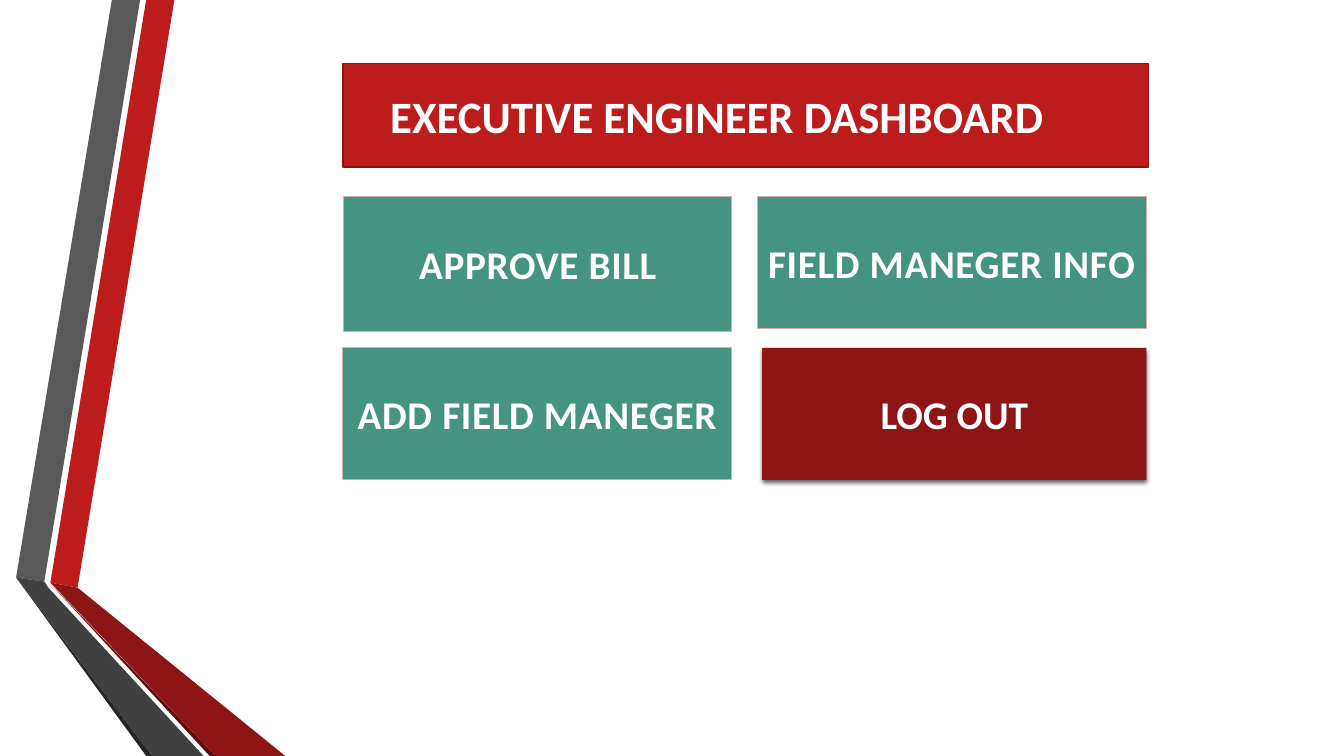
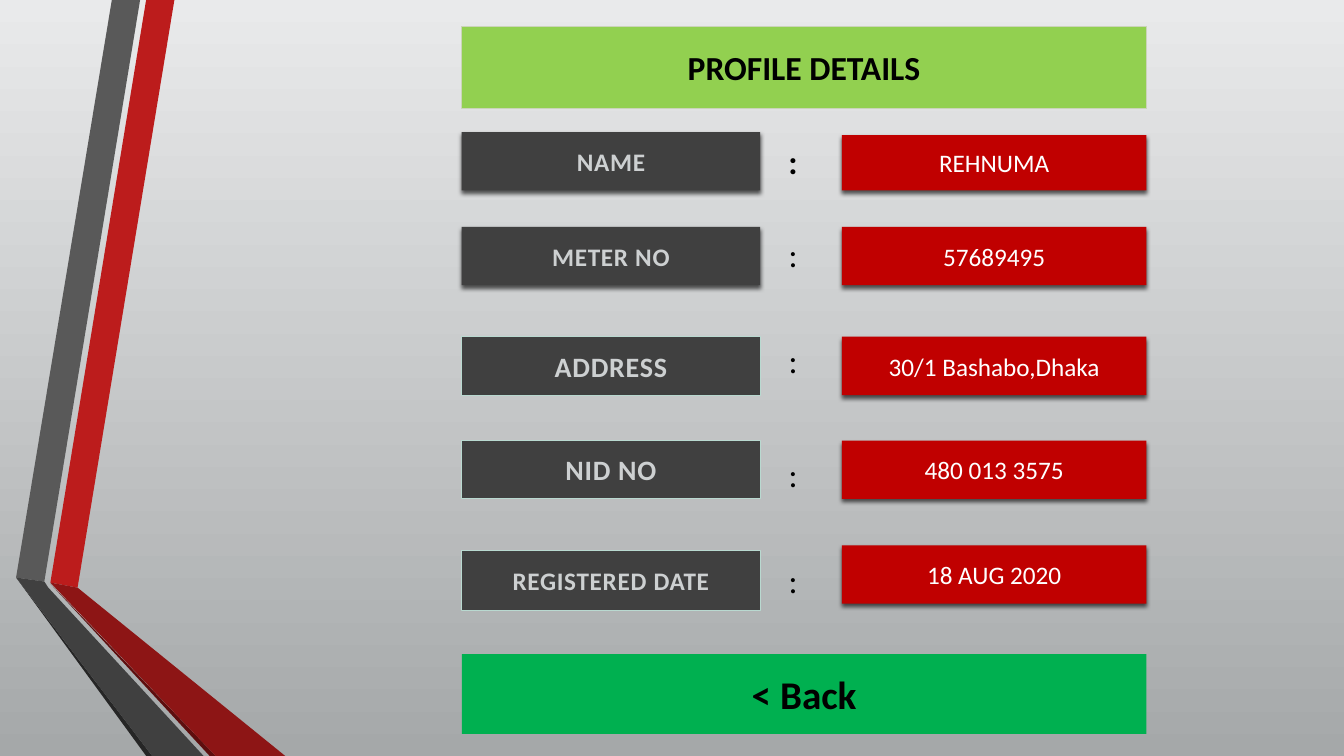
from lxml import etree
from pptx import Presentation
from pptx.dml.color import RGBColor
from pptx.enum.shapes import MSO_SHAPE
from pptx.enum.text import MSO_ANCHOR, PP_ALIGN
from pptx.oxml.ns import qn
from pptx.util import Inches, Pt

RECT = MSO_SHAPE.RECTANGLE
MIDDLE = MSO_ANCHOR.MIDDLE
LEFT, CENTER = PP_ALIGN.LEFT, PP_ALIGN.CENTER

FONT = "Calibri"
COLORS = {
    "white": "FFFFFF", "black": "000000",
    "red": "BC1C1C", "maroon": "8D1515", "wine": "5E0E0E", "edge": "8B1515",
    "gray": "595959", "dark": "404040", "coal": "262626",
    "teal": "459481", "pink": "DAACAC", "mint": "B9D9D0",
    "lime": "92D050", "sage": "CBD4B9", "green": "00B050",
    "value": "C00000", "label": "CDD0D1",
    "top": "E9EAEB", "bottom": "A5A8A9",
}

# Folded ribbon on the left of every slide: colour and outline
RIBBON = [
    ("red", [(0.5, 5.78), (0.77, 5.83), (1.73, 0), (1.45, 0)]),
    ("gray", [(1.39, 0), (1.11, 0), (0.16, 5.73), (0.44, 5.77)]),
    ("coal", [(0.16, 5.73), (1.45, 7.5), (1.51, 7.5)]),
    ("wine", [(0.5, 5.79), (2.08, 7.5), (2.14, 7.5)]),
    ("maroon", [(0.5, 5.78), (2.14, 7.5), (2.83, 7.5), (0.77, 5.83)]),
    ("dark", [(2.02, 7.5), (0.48, 5.83), (0.44, 5.77), (0.16, 5.73),
              (1.51, 7.5)]),
]


def rgb(name):
    return RGBColor.from_string(COLORS[name])


class Deck:
    """Holds the shared style and the slide being filled."""

    def __init__(self):
        self.prs = Presentation()
        self.prs.slide_width = Inches(13.33)
        self.prs.slide_height = Inches(7.5)
        self.slide = None

    def start(self, fade=None):
        """Open a slide with the ribbon; fade names the top and bottom colours."""
        self.slide = self.prs.slides.add_slide(self.prs.slide_layouts[6])
        fill = self.slide.background.fill
        if fade:
            fill.gradient()
            fill.gradient_angle = 270
            for stop, name in zip(fill.gradient_stops, fade):
                stop.color.rgb = rgb(name)
        else:
            fill.solid()
            fill.fore_color.rgb = rgb("white")
        for color, points in RIBBON:
            self.free(color, points)

    def free(self, color, points):
        first, *rest = [(Inches(x), Inches(y)) for x, y in points]
        pen = self.slide.shapes.build_freeform(*first)
        pen.add_line_segments(rest, close=True)
        self.paint(pen.convert_to_shape(), color)

    def paint(self, shape, fill, line=None, weight=0.75):
        shape.shadow.inherit = False
        shape.fill.solid()
        shape.fill.fore_color.rgb = rgb(fill)
        if line:
            shape.line.color.rgb = rgb(line)
            shape.line.width = Pt(weight)
        else:
            shape.line.fill.background()

    def put(self, shape, text, size, color, bold=True, wide=False,
            align=CENTER, inset=0.05):
        """Put one line of text in a shape; wide adds letter spacing."""
        frame = shape.text_frame
        frame.word_wrap = True
        frame.vertical_anchor = MIDDLE
        frame.margin_left = Inches(inset)
        frame.margin_right = Inches(0.05)
        frame.margin_top = frame.margin_bottom = 0
        para = frame.paragraphs[0]
        para.alignment = align
        run = para.add_run()
        run.text = text
        font = para.font
        font.name, font.size, font.bold = FONT, Pt(size), bold
        font.color.rgb = rgb(color)
        if wide:
            run._r.get_or_add_rPr().set("spc", "50")

    def box(self, at, text, size, fill, color="white", line=None, weight=0.75,
            shadow=False, **style):
        shape = self.slide.shapes.add_shape(RECT, *map(Inches, at))
        self.paint(shape, fill, line, weight)
        if shadow:
            self.shade(shape)
        self.put(shape, text, size, color, **style)

    def shade(self, shape):
        """Cast a soft shadow straight down."""
        effects = shape._element.spPr.find(qn("a:effectLst"))
        outer = etree.SubElement(
            effects, qn("a:outerShdw"), blurRad=str(int(Pt(3))),
            dist=str(int(Pt(2))), dir="5400000", algn="ctr", rotWithShape="0")
        tint = etree.SubElement(outer, qn("a:srgbClr"), val=COLORS["black"])
        etree.SubElement(tint, qn("a:alpha"), val="64000")

    def label(self, at, text, size, color, **style):
        shape = self.slide.shapes.add_textbox(*map(Inches, at))
        self.put(shape, text, size, color, **style)


def menu(deck):
    deck.start()
    deck.box((3.4, 0.63, 7.99, 1.03), "EXECUTIVE ENGINEER DASHBOARD", 32,
             "red", line="edge", weight=1.25, align=LEFT, inset=0.47)
    tiles = [
        ((3.41, 1.95, 3.85, 1.34), "APPROVE BILL"),
        ((7.51, 1.95, 3.86, 1.31), "FIELD MANEGER INFO"),
        ((3.4, 3.45, 3.86, 1.31), "ADD FIELD MANEGER"),
    ]
    for at, text in tiles:
        deck.box(at, text, 28, "teal", line="pink", wide=True)
    deck.box((7.56, 3.45, 3.81, 1.31), "LOG OUT", 28, "maroon", shadow=True)


def profile(deck):
    deck.start(fade=("top", "bottom"))
    left, width = 4.58, 6.79
    deck.box((left, 0.26, width, 0.82), "PROFILE DETAILS", 24, "lime",
             "black", line="sage")
    # label, size, top, height, edge; colon top; value, top, height
    rows = [
        ("NAME", 18, 1.31, 0.58, None, 1.45, "REHNUMA", 1.34, 0.55),
        ("METER NO", 18, 2.25, 0.58, None, 2.37, "57689495", 2.25, 0.58),
        ("ADDRESS", 20, 3.34, 0.58, "mint", 3.42,
         "30/1 Bashabo,Dhaka", 3.34, 0.58),
        ("NID NO", 20, 4.37, 0.58, "mint", 4.55, "480 013 3575", 4.37, 0.58),
        ("REGISTERED DATE", 18, 5.46, 0.6, "mint", 5.6,
         "18 AUG 2020", 5.41, 0.58),
    ]
    for name, size, top, high, edge, dot, value, side, tall in rows:
        deck.box((left, top, 2.96, high), name, size, "dark", "label",
                 line=edge, shadow=not edge, wide=True)
        deck.label((7.72, dot, 0.29, 0.3), ":", 24, "black",
                   bold=name == "NAME")
        deck.box((8.35, side, 3.02, tall), value, 18, "value", shadow=True,
                 bold=False)
    deck.box((left, 6.49, width, 0.79), "< Back", 28, "green", "black")


def main():
    deck = Deck()
    menu(deck)
    profile(deck)
    deck.prs.save("out.pptx")


if __name__ == "__main__":
    main()
